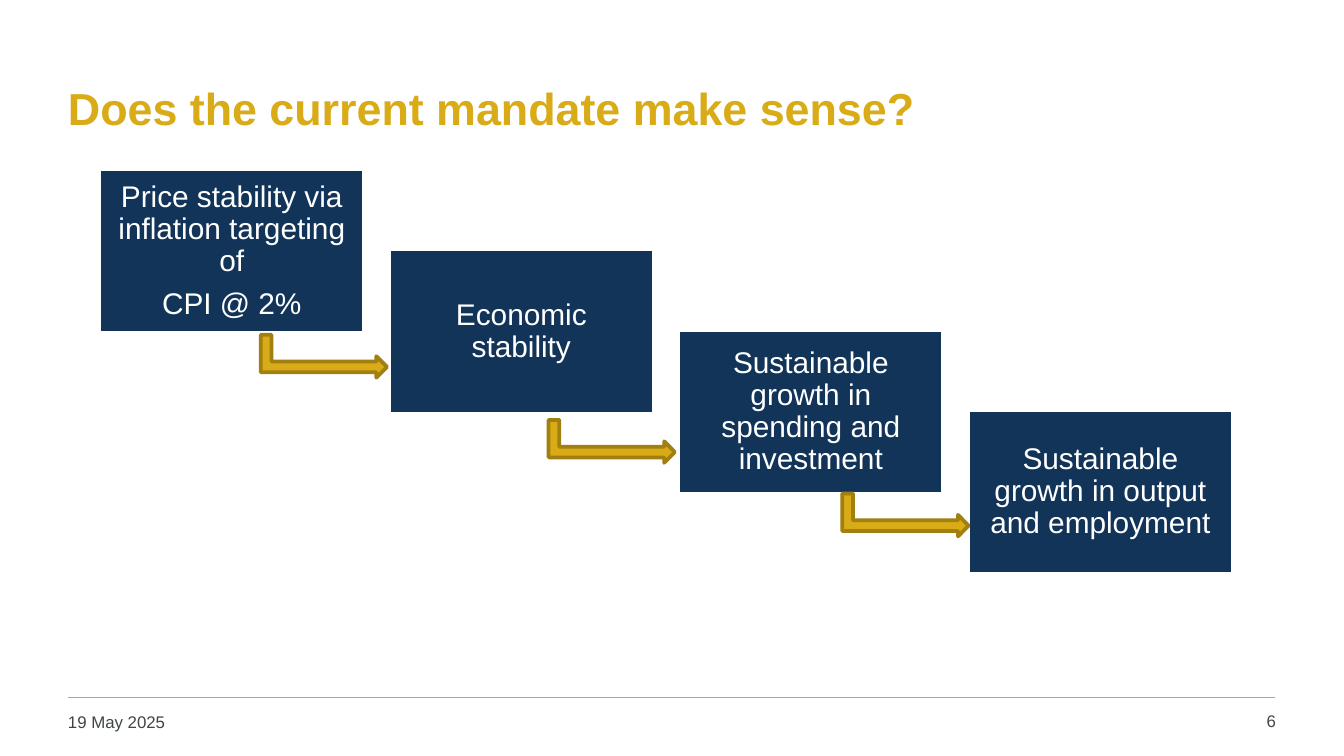
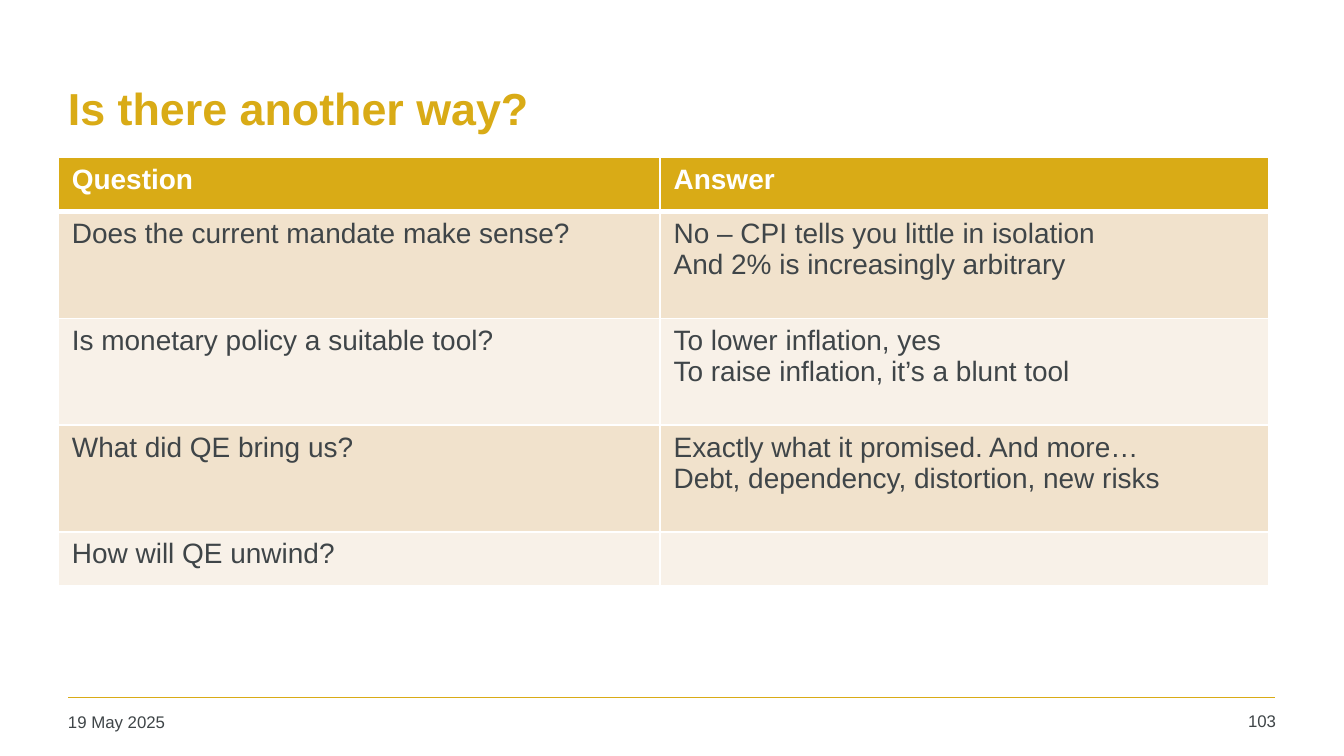
from lxml import etree
from pptx import Presentation
from pptx.dml.color import RGBColor as RGB
from pptx.enum.shapes import MSO_CONNECTOR as CONN, MSO_SHAPE as SHAPE
from pptx.enum.text import MSO_ANCHOR as ANCHOR, PP_ALIGN as ALIGN
from pptx.oxml.ns import qn
from pptx.util import Pt

COLORS = {
    "gold": "D9AB16",
    "dark_gold": "A17F10",
    "navy": "113458",
    "ink": "3F4548",
    "white": "FFFFFF",
    "sand": "F1E2CC",
    "cream": "F8F1E8",
}
FONT = "Arial"
DATE = "19 May 2025"
SIDES = ("lnL", "lnR", "lnT", "lnB")


def rgb(name):
    return RGB.from_string(COLORS[name])


class Deck:
    def __init__(self):
        self.prs = Presentation()
        self.prs.slide_width = Pt(720)
        self.prs.slide_height = Pt(405)
        self.s = None

    def slide(self, title, number):
        self.s = self.prs.slides.add_slide(self.prs.slide_layouts[6])
        self.rule(36.7, 683.3, 373.7)
        self.text((31, 23.8, 653, 67.7), title, 24, "gold", bold=True, anchor=ANCHOR.MIDDLE)
        self.text((31, 378.7, 158.4, 19.4), DATE, 9, "ink")
        self.text((638, 378, 51, 20), str(number), 9, "ink", align=ALIGN.RIGHT)

    def add_lines(self, tf, lines, size, color, bold=False, align=ALIGN.LEFT, spacing=None, after=None):
        for i, line in enumerate(lines):
            p = tf.add_paragraph() if i else tf.paragraphs[0]
            p.alignment = align
            if spacing:
                p.line_spacing = spacing
            if after:
                p.space_after = Pt(after)
            r = p.add_run()
            r.text = line
            r.font.name = FONT
            r.font.size = Pt(size)
            r.font.bold = bold
            r.font.color.rgb = rgb(color)

    def frame(self, sp, anchor, side, top):
        tf = sp.text_frame
        tf.word_wrap = True
        tf.vertical_anchor = anchor
        tf.margin_left = tf.margin_right = Pt(side)
        tf.margin_top = tf.margin_bottom = Pt(top)
        return tf

    def text(self, at, line, size, color, bold=False, align=ALIGN.LEFT, anchor=ANCHOR.TOP):
        sp = self.s.shapes.add_textbox(*map(Pt, at))
        tf = self.frame(sp, anchor, 5.4, 2.7)
        self.add_lines(tf, [line], size, color, bold, align)

    def shape(self, kind, at, fill, line):
        sp = self.s.shapes.add_shape(kind, *map(Pt, at))
        sp.shadow.inherit = False
        sp.fill.solid()
        sp.fill.fore_color.rgb = rgb(fill)
        sp.line.color.rgb = rgb(line)
        sp.line.width = Pt(2)
        return sp

    def box(self, at, lines):
        sp = self.shape(SHAPE.RECTANGLE, at, "navy", "white")
        tf = self.frame(sp, ANCHOR.MIDDLE, 10, 10)
        self.add_lines(tf, lines, 16, "white", align=ALIGN.CENTER, spacing=0.9, after=5.6)

    def arrow(self, left, top):
        sp = self.shape(SHAPE.BENT_UP_ARROW, (left, top, 23, 67.7), "gold", "dark_gold")
        sp.rotation = 90

    def rule(self, x1, x2, y):
        c = self.s.shapes.add_connector(CONN.STRAIGHT, Pt(x1), Pt(y), Pt(x2), Pt(y))
        c.line.color.rgb = rgb("gold")
        c.line.width = Pt(1)
        etree.SubElement(c._element.spPr, qn("a:effectLst"))

    def borders(self, cell, widths):
        tcPr = cell._tc.get_or_add_tcPr()
        for i, (side, width) in enumerate(zip(SIDES, widths)):
            ln = etree.Element(qn(f"a:{side}"), w=str(Pt(width)))
            fill = etree.SubElement(ln, qn("a:solidFill"))
            etree.SubElement(fill, qn("a:srgbClr"), val=COLORS["white"])
            tcPr.insert(i, ln)

    def table(self, left, top, widths, heights, rows):
        tbl = self.s.shapes.add_table(
            len(rows), len(widths), Pt(left), Pt(top), Pt(sum(widths)), Pt(sum(heights))
        ).table
        for col, width in zip(tbl.columns, widths):
            col.width = Pt(width)
        for i, (row, height) in enumerate(zip(rows, heights)):
            tbl.rows[i].height = Pt(height)
            head = i == 0
            fill = "gold" if head else "sand" if i % 2 else "cream"
            for j, lines in enumerate(row):
                cell = tbl.cell(i, j)
                cell.fill.solid()
                cell.fill.fore_color.rgb = rgb(fill)
                self.borders(cell, (1, 1, 3 if i == 1 else 1, 3 if head else 1))
                self.add_lines(cell.text_frame, lines, 15, "white" if head else "ink", bold=head)


def mandate_slide(deck):
    deck.slide("Does the current mandate make sense?", 6)
    steps = [
        ["Price stability via inflation targeting of", "CPI @ 2%"],
        ["Economic stability"],
        ["Sustainable growth in spending and investment"],
        ["Sustainable growth in output and employment"],
    ]
    for i, lines in enumerate(steps):
        deck.box((53.2 + 155.1 * i, 90.7 + 43 * i, 142, 87.8), lines)
    for left, top in ((162, 157), (316.2, 202.6), (473.6, 242)):
        deck.arrow(left, top)


def answers_slide(deck):
    deck.slide("Is there another way?", 103)
    rows = [
        (["Question"], ["Answer"]),
        (
            ["Does the current mandate make sense?"],
            ["No – CPI tells you little in isolation", "And 2% is increasingly arbitrary"],
        ),
        (
            ["Is monetary policy a suitable tool?"],
            ["To lower inflation, yes", "To raise inflation, it’s a blunt tool"],
        ),
        (
            ["What did QE bring us?"],
            ["Exactly what it promised. And more…", "Debt, dependency, distortion, new risks"],
        ),
        (["How will QE unwind?"], []),
    ]
    deck.table(31.3, 84.4, (322.4, 326), (29, 57.2, 57.2, 57.2, 29), rows)


def main():
    deck = Deck()
    mandate_slide(deck)
    answers_slide(deck)
    deck.prs.save("out.pptx")


if __name__ == "__main__":
    main()
